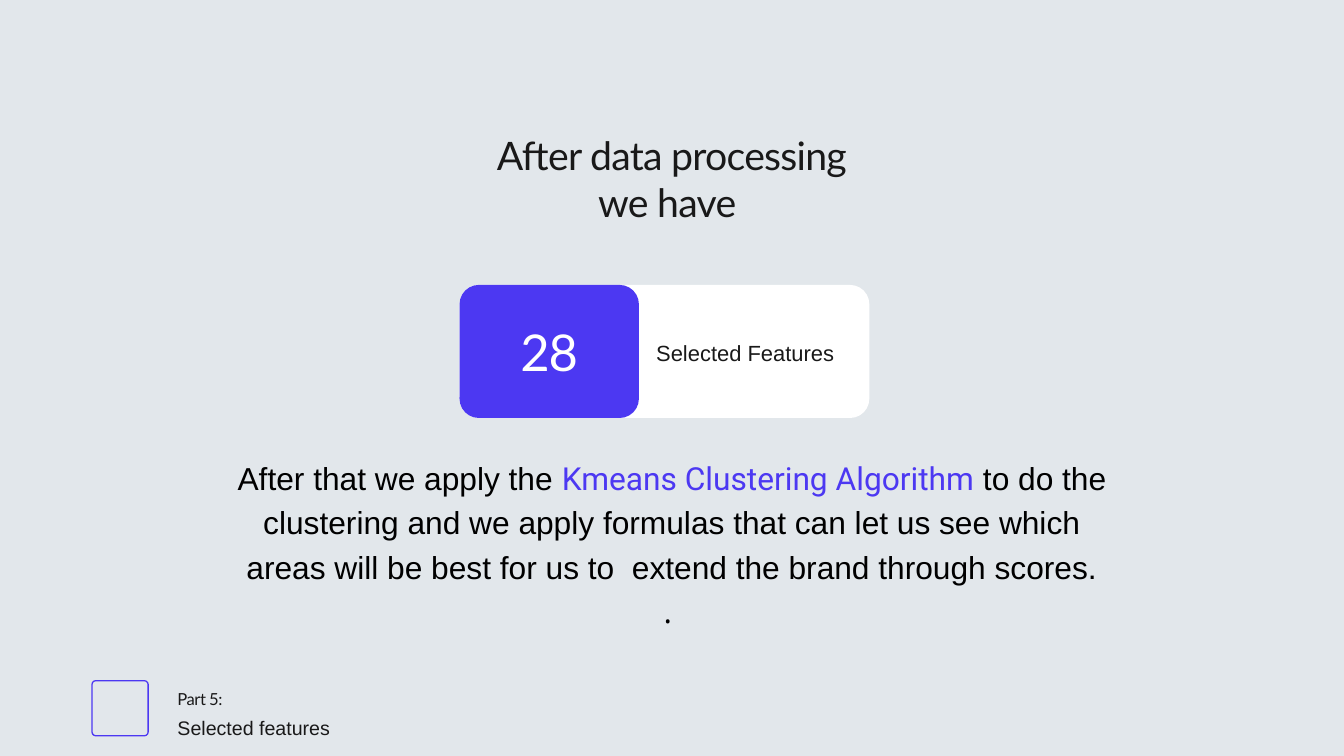
from pptx import Presentation
from pptx.dml.color import RGBColor
from pptx.enum.shapes import MSO_SHAPE
from pptx.enum.text import MSO_AUTO_SIZE, PP_ALIGN
from pptx.util import Cm, Pt

BACKGROUND = "E2E7EB"
VIOLET = "4C38F2"
WHITE = "FFFFFF"
INK = "191919"
BLACK = "000000"


def color(hex_string):
    """Turn a hex string into a colour."""
    return RGBColor.from_string(hex_string)


def add_rounded_box(slide, left, top, width, height, radius, fill=None, line=None):
    """Add a rounded rectangle with a corner radius in centimetres."""
    shape = slide.shapes.add_shape(
        MSO_SHAPE.ROUNDED_RECTANGLE, Cm(left), Cm(top), Cm(width), Cm(height)
    )
    shape.shadow.inherit = False
    shape.adjustments[0] = radius / min(width, height)
    if fill:
        shape.fill.solid()
        shape.fill.fore_color.rgb = color(fill)
    else:
        shape.fill.background()
    if line:
        shape.line.color.rgb = color(line)
        shape.line.width = Pt(1.4)
    else:
        shape.line.fill.background()
    return shape


def add_run(paragraph, text, size, font, hex_string, tracking=0):
    """Add one formatted run, with tracking in points."""
    run = paragraph.add_run()
    run.text = text
    run.font.size = Pt(size)
    run.font.name = font
    run.font.color.rgb = color(hex_string)
    if tracking:
        run.font._element.set("spc", str(round(tracking * 100)))


def add_text(slide, left, top, width, height, paragraphs, size, leading,
             align=PP_ALIGN.CENTER, tracking=0):
    """Add a text box from paragraphs of (text, font, colour) runs."""
    box = slide.shapes.add_textbox(Cm(left), Cm(top), Cm(width), Cm(height))
    frame = box.text_frame
    frame.word_wrap = True
    frame.auto_size = MSO_AUTO_SIZE.SHAPE_TO_FIT_TEXT
    frame.margin_left = frame.margin_right = 0
    frame.margin_top = frame.margin_bottom = 0
    for index, runs in enumerate(paragraphs):
        paragraph = frame.add_paragraph() if index else frame.paragraphs[0]
        paragraph.alignment = align
        paragraph.line_spacing = Pt(leading)
        for text, font, hex_string in runs:
            add_run(paragraph, text, size, font, hex_string, tracking)


def add_footer(slide):
    """Add the section marker at the lower left."""
    add_rounded_box(slide, 3.48, 25.73, 2.12, 2.08, 0.14, line=VIOLET)
    add_text(slide, 6.71, 25.96, 7.59, 0.79, [[("Part 5:", "Lato", INK)]],
             17.8, 23.1, PP_ALIGN.LEFT, -0.5)
    add_text(slide, 6.71, 26.9, 7.59, 0.97, [[("Selected features", "Arial", INK)]],
             21, 29.4, PP_ALIGN.LEFT)


def add_feature_card(slide):
    """Add the card with the feature count and its label."""
    left, top, height, radius = 17.37, 10.77, 5.03, 0.73
    add_rounded_box(slide, left, top, 15.49, height, radius, fill=WHITE)
    add_rounded_box(slide, left, top, 6.78, height, radius, fill=VIOLET)
    add_text(slide, 18.59, 12.14, 4.34, 2.29, [[("28", "Lato", WHITE)]],
             54.3, 65.2, tracking=-1.1)
    add_text(slide, 22.94, 12.67, 10.46, 1.12, [[("Selected Features", "Arial", INK)]],
             23.5, 33)


def main():
    """Build the slide and save it."""
    presentation = Presentation()
    presentation.slide_width = Cm(50.8)
    presentation.slide_height = Cm(28.575)
    slide = presentation.slides.add_slide(presentation.slide_layouts[6])
    slide.background.fill.solid()
    slide.background.fill.fore_color.rgb = color(BACKGROUND)

    add_footer(slide)
    title = [[("After data processing", "Lato", INK)], [("we have ", "Lato", INK)]]
    add_text(slide, 15.49, 4.95, 19.81, 3.56, title, 42, 50.4, tracking=-0.8)
    add_feature_card(slide)
    explanation = [
        [
            ("After that we apply the ", "Arial", BLACK),
            ("Kmeans Clustering Algorithm", "Roboto", VIOLET),
            (" to do the clustering and we apply formulas that can let us see which "
             "areas will be best for us to  extend the brand through scores.",
             "Arial", BLACK),
        ],
        [(". ", "Open Sans", BLACK)],
    ]
    add_text(slide, 8.79, 17.09, 33.22, 8.26, explanation, 34, 47.6)

    presentation.save("out.pptx")


if __name__ == "__main__":
    main()
